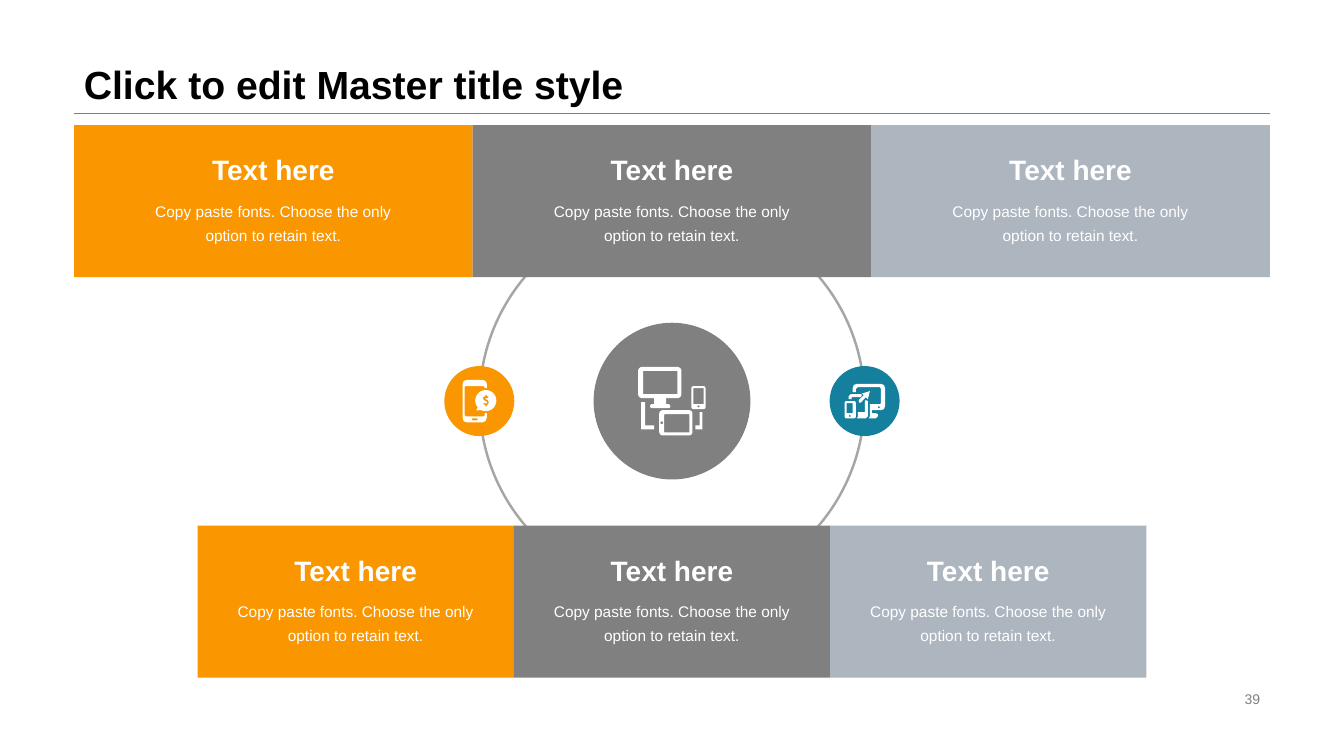
from math import cos, sin, radians
from lxml.etree import SubElement
from pptx import Presentation
from pptx.dml.color import RGBColor
from pptx.enum.shapes import MSO_CONNECTOR, MSO_SHAPE
from pptx.enum.text import MSO_ANCHOR, PP_ALIGN
from pptx.oxml.ns import qn
from pptx.util import Pt

rgb = RGBColor.from_string
ORANGE, GRAY, SILVER, TEAL, WHITE = "FA9600", "808080", "ADB5BF", "14809E", "FFFFFF"


def add_text(box, lines, size, color, bold=False, align=PP_ALIGN.LEFT,
             anchor=MSO_ANCHOR.TOP, spacing=1.0):
    tf = s.shapes.add_textbox(*[Pt(v) for v in box]).text_frame
    tf.word_wrap = True
    tf.vertical_anchor = anchor
    for i, line in enumerate(lines):
        p = tf.paragraphs[0] if i == 0 else tf.add_paragraph()
        p.text = line
        p.alignment = align
        p.line_spacing = spacing
        p.font.name = "Arial"
        p.font.size = Pt(size)
        p.font.bold = bold
        p.font.color.rgb = rgb(color)


def rounded(left, top, width, height, radius=0.0):
    """Corner points of a rounded rectangle, clockwise from the right side."""
    if not radius:
        return [(left, top), (left + width, top),
                (left + width, top + height), (left, top + height)]
    x1, x2 = left + radius, left + width - radius
    y1, y2 = top + radius, top + height - radius
    corners = [(x2, y2, 0), (x1, y2, 90), (x1, y1, 180), (x2, y1, 270)]
    return [(x + radius * cos(radians(start + step)), y + radius * sin(radians(start + step)))
            for x, y, start in corners for step in range(0, 91, 15)]


prs = Presentation()
prs.slide_width, prs.slide_height = Pt(960), Pt(540)
s = prs.slides.add_slide(prs.slide_layouts[6])

# Header and slide number
rule = s.shapes.add_connector(MSO_CONNECTOR.STRAIGHT, Pt(52.8), Pt(81), Pt(907.2), Pt(81))
rule.line.color.rgb = rgb(GRAY)
rule.line.width = Pt(0.25)
SubElement(rule._element.spPr, qn("a:effectLst"))
add_text((52.8, 0, 854.4, 81), ["Click to edit Master title style"], 28, "000000",
         bold=True, anchor=MSO_ANCHOR.BOTTOM, spacing=0.9)
add_text((678.2, 491, 229, 16.8), ["39"], 10, GRAY,
         align=PP_ALIGN.RIGHT, anchor=MSO_ANCHOR.MIDDLE)

# Ring and discs: centre x, diameter, fill
CENTER_Y = 286.5
for center_x, size, fill in [(480, 275, None), (617.6, 50, TEAL),
                             (480, 112, GRAY), (342.4, 50, ORANGE)]:
    disc = s.shapes.add_shape(MSO_SHAPE.OVAL, Pt(center_x - size / 2),
                              Pt(CENTER_Y - size / 2), Pt(size), Pt(size))
    disc.shadow.inherit = False
    if fill:
        disc.fill.solid()
        disc.fill.fore_color.rgb = rgb(fill)
        disc.line.fill.background()
    else:
        disc.fill.background()
        disc.line.color.rgb = rgb("A6A6A6")
        disc.line.width = Pt(1.75)

# Icons: each is a list of outlines, where an inner outline cuts a hole
linked_devices = [
    # Phone
    rounded(603.4, 286.6, 7.9, 12.2, 1),
    rounded(604.8, 288, 4.3, 7.2),
    rounded(606.3, 296.4, 1.4, 1.4, 0.7),
    # Laptop edge, tablet edge and arrow
    [(618.5, 285.8), (619.9, 286.6), (619.9, 297.4), (618.5, 298.8), (612, 298.8),
     (612.7, 298), (612.9, 296), (612.7, 294.5), (617.8, 294.5), (617.8, 286.6)],
    [(607.7, 281.5), (614.9, 281.5), (615.6, 282.2), (614.9, 283.7), (608.4, 283.7),
     (608.4, 285.1), (606.2, 285.1), (606.2, 283)],
    [(621.4, 279.4), (619.9, 285.1), (618.5, 283.7), (614.9, 287.6), (613.6, 287.6),
     (613.4, 285.8), (617, 282.2), (615.6, 281.2)],
    # Monitor
    [(609.1, 280.1), (609.1, 277.2), (609.9, 275), (612, 274.3), (629.3, 274.3),
     (631.4, 275), (632.2, 277.2), (632.2, 290.2), (631.4, 292.3), (629.3, 293),
     (622.8, 293), (622.8, 295.2), (625.7, 295.2), (627.1, 295.9), (627.1, 297.4),
     (625.7, 298.8), (620.6, 298.8), (621.4, 297.4), (621.4, 288.7), (628.6, 288.7),
     (629.3, 288), (629.3, 277.9), (628.6, 276.5), (612.7, 276.5), (611.3, 277.9),
     (611.3, 280.1)],
    rounded(627.1, 290.2, 1.4, 1.4, 0.7),
]
screens = [
    # Tablet
    rounded(470.9, 293, 23.8, 18, 2.5),
    rounded(474.5, 295.9, 18, 13, 0.5),
    rounded(471.7, 301, 2, 2, 1),
    # Phone
    rounded(493.9, 275.8, 10.1, 16.5, 1.5),
    rounded(495.4, 277.2, 7.2, 11.5),
    rounded(498.2, 289.5, 1.6, 1.6, 0.8),
    # Monitor with stand
    rounded(455.8, 262.1, 31, 22.3, 3),
    rounded(459.4, 265, 24.5, 16.6),
    rounded(467.3, 284.4, 8.6, 4.3),
    rounded(464.4, 288.7, 14.4, 2.9, 1.4),
    # Cables
    [(457.9, 287.3), (460.8, 287.3), (460.8, 303.8), (467.3, 303.8),
     (467.3, 306.7), (457.9, 306.7)],
    [(499.7, 294.5), (501.8, 294.5), (501.8, 306.7), (496.8, 306.7),
     (496.8, 303.8), (499.7, 303.8)],
]
mobile_payment = [
    # Phone
    [(347.8, 277.2), (347.8, 274), (346.8, 272.1), (344.9, 271.4), (333.4, 271.4),
     (331.2, 272.2), (330.5, 274.3), (330.5, 298.1), (331.2, 300.8), (333.4, 301.7),
     (344.9, 301.7), (347, 300.6), (347.8, 298.1), (347.8, 295.2), (346.3, 295.2),
     (346.3, 296.6), (345.6, 297.4), (332.6, 297.4), (331.9, 296.6), (331.9, 276.5),
     (332.6, 275.8), (345.6, 275.8), (346.3, 276.5), (346.3, 277.2)],
    rounded(337, 298.8, 4.3, 1.4, 0.7),
    # Speech bubble with its tail
    rounded(339.5, 278.6, 15.1, 15.1, 7.55),
    [(341.3, 291), (340.2, 293.2), (343.8, 292.9)],
    # Dollar sign
    [(346.8, 282.2), (346.8, 283), (345.6, 283.3), (344.9, 284.4), (345.6, 285.8),
     (347, 286.6), (347.8, 287.3), (347.8, 288), (347, 288.2), (345.5, 287.8),
     (345.2, 288.7), (346.7, 289.4), (346.7, 290.2), (347.8, 290.2), (347.8, 289.4),
     (348.8, 288.7), (349.2, 286.9), (348.5, 285.8), (347, 285.1), (346.9, 284.4),
     (348.5, 284.4), (349.2, 283.3), (348, 283), (348, 282.2)],
]
for outlines in (linked_devices, screens, mobile_payment):
    pen = None
    for outline in outlines:
        points = [(Pt(x), Pt(y)) for x, y in outline]
        if pen is None:
            pen = s.shapes.build_freeform(*points[0])
        else:
            pen.move_to(*points[0])
        pen.add_line_segments(points[1:], close=True)
    icon = pen.convert_to_shape()
    icon.shadow.inherit = False
    icon.fill.solid()
    icon.fill.fore_color.rgb = rgb(WHITE)
    icon.line.fill.background()

# Panels: a wide row above the ring and a narrower row below it
for top, width in [(89.3, 284.7), (375.4, 225.9)]:
    for column, fill in enumerate([ORANGE, GRAY, SILVER]):
        left = 480 + (column - 1.5) * width
        panel = s.shapes.add_shape(MSO_SHAPE.RECTANGLE, Pt(left), Pt(top), Pt(width), Pt(108.7))
        panel.shadow.inherit = False
        panel.fill.solid()
        panel.fill.fore_color.rgb = rgb(fill)
        panel.line.fill.background()
        add_text((left, top + 17.3, width, 30.2), ["Text here"], 20, WHITE, bold=True,
                 align=PP_ALIGN.CENTER, anchor=MSO_ANCHOR.BOTTOM, spacing=0.9)
        add_text((left, top + 47.5, width, 43.9),
                 ["Copy paste fonts. Choose the only", "option to retain text."],
                 11, WHITE, align=PP_ALIGN.CENTER, spacing=1.3)

prs.save("out.pptx")
